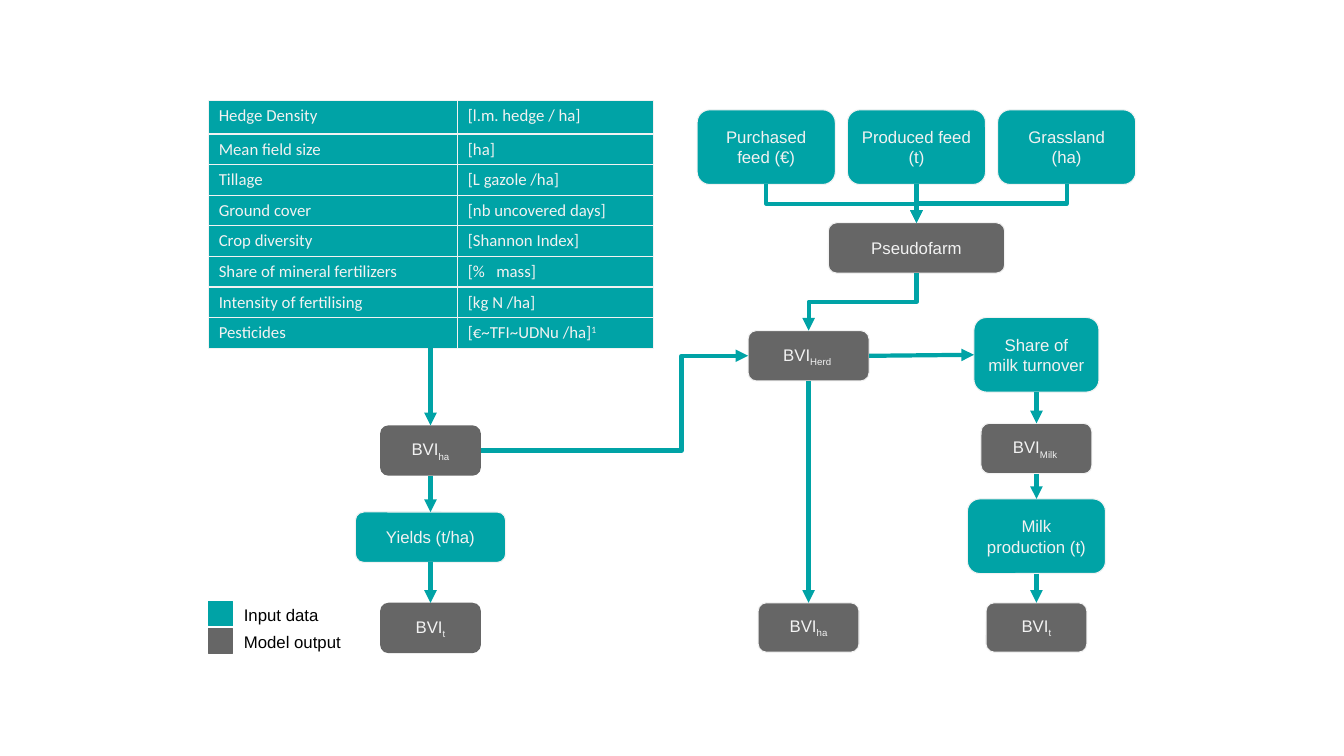
from lxml import etree
from pptx import Presentation
from pptx import util as u
from pptx.dml.color import RGBColor
from pptx.enum import shapes, text
from pptx.oxml import ns

INPUT, OUTPUT, LIGHT, BLACK = "00A3A6", "666666", "F2F2F2", "000000"

INDICATORS = [
    ("Hedge Density", "[l.m. hedge / ha]", ""),
    ("Mean field size", "[ha]", ""),
    ("Tillage", "[L gazole /ha]", ""),
    ("Ground cover", "[nb uncovered days]", ""),
    ("Crop diversity", "[Shannon Index]", ""),
    ("Share of mineral fertilizers", "[%   mass]", ""),
    ("Intensity of fertilising", "[kg N /ha]", ""),
    ("Pesticides", "[€~TFI~UDNu /ha]", "1"),
]
TABLE_LEFT, TABLE_TOP = 2.07, 1.0
COLUMNS = (2.47, 1.94)
FIRST_ROW, ROW = 0.33, 0.3

CROP_X, HERD_X, FARM_X, MILK_X = 4.27, 8.02, 9.09, 10.28
FEED_GAP = 1.49

# key: centre x, top, width, height, fill, label, subscript
NODES = {
    "purchased": (FARM_X - FEED_GAP, 1.09, 1.37, 0.74, INPUT, "Purchased feed (€)", ""),
    "produced": (FARM_X, 1.09, 1.37, 0.74, INPUT, "Produced feed (t)", ""),
    "grassland": (FARM_X + FEED_GAP, 1.09, 1.37, 0.74, INPUT, "Grassland (ha)", ""),
    "pseudofarm": (FARM_X, 2.21, 1.75, 0.5, OUTPUT, "Pseudofarm", ""),
    "herd": (HERD_X, 3.28, 1.2, 0.5, OUTPUT, "BVI", "Herd "),
    "herd_ha": (HERD_X, 5.98, 1.0, 0.49, OUTPUT, "BVI", "ha"),
    "share": (MILK_X, 3.15, 1.24, 0.74, INPUT, "Share of milk turnover", ""),
    "milk": (MILK_X, 4.2, 1.1, 0.5, OUTPUT, "BVI", "Milk "),
    "production": (MILK_X, 4.95, 1.37, 0.74, INPUT, "Milk production (t)", ""),
    "milk_t": (MILK_X, 5.98, 1.0, 0.49, OUTPUT, "BVI", "t"),
    "crop_ha": (CROP_X, 4.22, 1.0, 0.5, OUTPUT, "BVI", "ha"),
    "yields": (CROP_X, 5.08, 1.49, 0.5, INPUT, "Yields (t/ha)", ""),
    "crop_t": (CROP_X, 5.98, 1.0, 0.5, OUTPUT, "BVI", "t"),
}
BORDERLESS = ("crop_ha", "crop_t")
DOWN = [
    ("purchased", "pseudofarm"), ("produced", "pseudofarm"), ("grassland", "pseudofarm"),
    ("pseudofarm", "herd"), ("herd", "herd_ha"),
    ("share", "milk"), ("milk", "production"), ("production", "milk_t"),
    ("crop_ha", "yields"), ("yields", "crop_t"),
]
ACROSS = [("crop_ha", "herd", 0.751), ("herd", "share", None)]
LEGEND = [("Input data", INPUT), ("Model output", OUTPUT)]
LEGEND_LEFT, LEGEND_TOP, LEGEND_STEP, SWATCH = 2.07, 5.97, 0.27, 0.24


def rgb(value):
    return RGBColor.from_string(value)


def write(tf, label, script="", baseline=0, font="Arial", color=LIGHT):
    p = tf.paragraphs[0]
    p.text = label
    if script:
        r = p.add_run()
        r.text = script
        r._r.get_or_add_rPr().set("baseline", str(baseline))
    for r in p.runs:
        r.font.size, r.font.name = u.Pt(12), font
        r.font.color.rgb = rgb(color)
    return p


def box(kind, left, top, width, height, fill, edge):
    sp = s.shapes.add_shape(kind, *map(u.Inches, (left, top, width, height)))
    sp.shadow.inherit = False
    sp.fill.solid()
    sp.fill.fore_color.rgb = rgb(fill)
    if edge:
        sp.line.color.rgb = rgb(edge)
        sp.line.width = 0
    else:
        sp.line.fill.background()
    return sp


def arrow(x1, y1, x2, y2, elbow=False, bend=0.5, rotated=False):
    if rotated:
        cx, cy, dx, dy = (x1 + x2) / 2, (y1 + y2) / 2, x2 - x1, y2 - y1
        x1, y1, x2, y2 = cx - dy / 2, cy + dx / 2, cx + dy / 2, cy - dx / 2
    kind = shapes.MSO_CONNECTOR.ELBOW if elbow else shapes.MSO_CONNECTOR.STRAIGHT
    c = s.shapes.add_connector(kind, *map(u.Inches, (x1, y1, x2, y2)))
    c.line.color.rgb = rgb(INPUT)
    c.line.width = u.Pt(3)
    sp_pr = c._element.spPr
    if rotated:
        sp_pr.find(ns.qn("a:xfrm")).set("rot", "5400000")
    if elbow:
        guides = sp_pr.find(ns.qn("a:prstGeom")).get_or_add_avLst()
        etree.SubElement(guides, ns.qn("a:gd"), name="adj1", fmla=f"val {round(bend * 100000)}")
    etree.SubElement(c.line._get_or_add_ln(), ns.qn("a:tailEnd"), type="triangle")
    etree.SubElement(sp_pr, ns.qn("a:effectLst"))


def border(cell):
    tc_pr = cell._tc.get_or_add_tcPr()
    for i, side in enumerate(("lnL", "lnR", "lnT", "lnB")):
        ln = etree.Element(ns.qn(f"a:{side}"), w=str(u.Pt(1)))
        fill = etree.SubElement(ln, ns.qn("a:solidFill"))
        etree.SubElement(fill, ns.qn("a:srgbClr"), val=LIGHT)
        tc_pr.insert(i, ln)


def indicator_table():
    height = FIRST_ROW + ROW * (len(INDICATORS) - 1)
    frame = s.shapes.add_table(len(INDICATORS), len(COLUMNS), *map(
        u.Inches, (TABLE_LEFT, TABLE_TOP, sum(COLUMNS), height)))
    table = frame.table
    for column, width in zip(table.columns, COLUMNS):
        column.width = u.Inches(width)
    for i, (name, unit, note) in enumerate(INDICATORS):
        table.rows[i].height = u.Inches(ROW if i else FIRST_ROW)
        for j, (label, script) in enumerate(((name, ""), (unit, note))):
            cell = table.cell(i, j)
            cell.fill.solid()
            cell.fill.fore_color.rgb = rgb(INPUT)
            border(cell)
            p = write(cell.text_frame, label, script, 30000, "Calibri")
            for r in p.runs:
                r.font.bold = False
    return TABLE_TOP + height


prs = Presentation()
prs.slide_width, prs.slide_height = u.Inches(13.33), u.Inches(7.5)
s = prs.slides.add_slide(prs.slide_layouts[6])

table_bottom = indicator_table()

for key, (x, top, width, height, fill, label, sub) in NODES.items():
    edge = None if key in BORDERLESS else LIGHT
    sp = box(shapes.MSO_SHAPE.ROUNDED_RECTANGLE, x - width / 2, top, width, height, fill, edge)
    tf = sp.text_frame
    tf.word_wrap = True
    tf.vertical_anchor = text.MSO_ANCHOR.MIDDLE
    write(tf, label, sub, -25000).alignment = text.PP_ALIGN.CENTER

for i, (label, fill) in enumerate(LEGEND):
    top = LEGEND_TOP + i * LEGEND_STEP
    box(shapes.MSO_SHAPE.RECTANGLE, LEGEND_LEFT, top, SWATCH, SWATCH, fill, fill)
    tb = s.shapes.add_textbox(*map(u.Inches, (LEGEND_LEFT + 0.25, top - 0.02, 1.89, 0.28)))
    tb.text_frame.word_wrap = True
    write(tb.text_frame, label, color=BLACK)

arrow(CROP_X, table_bottom, CROP_X, NODES["crop_ha"][1])
for start, end in DOWN:
    x1, top, _, height = NODES[start][:4]
    x2, y2 = NODES[end][:2]
    bent = x1 != x2
    arrow(x1, top + height, x2, y2, elbow=bent, rotated=bent)
for start, end, bend in ACROSS:
    x1, top1, w1, h1 = NODES[start][:4]
    x2, top2, w2, h2 = NODES[end][:4]
    arrow(x1 + w1 / 2, top1 + h1 / 2, x2 - w2 / 2, top2 + h2 / 2, bend is not None, bend)

prs.save("out.pptx")
